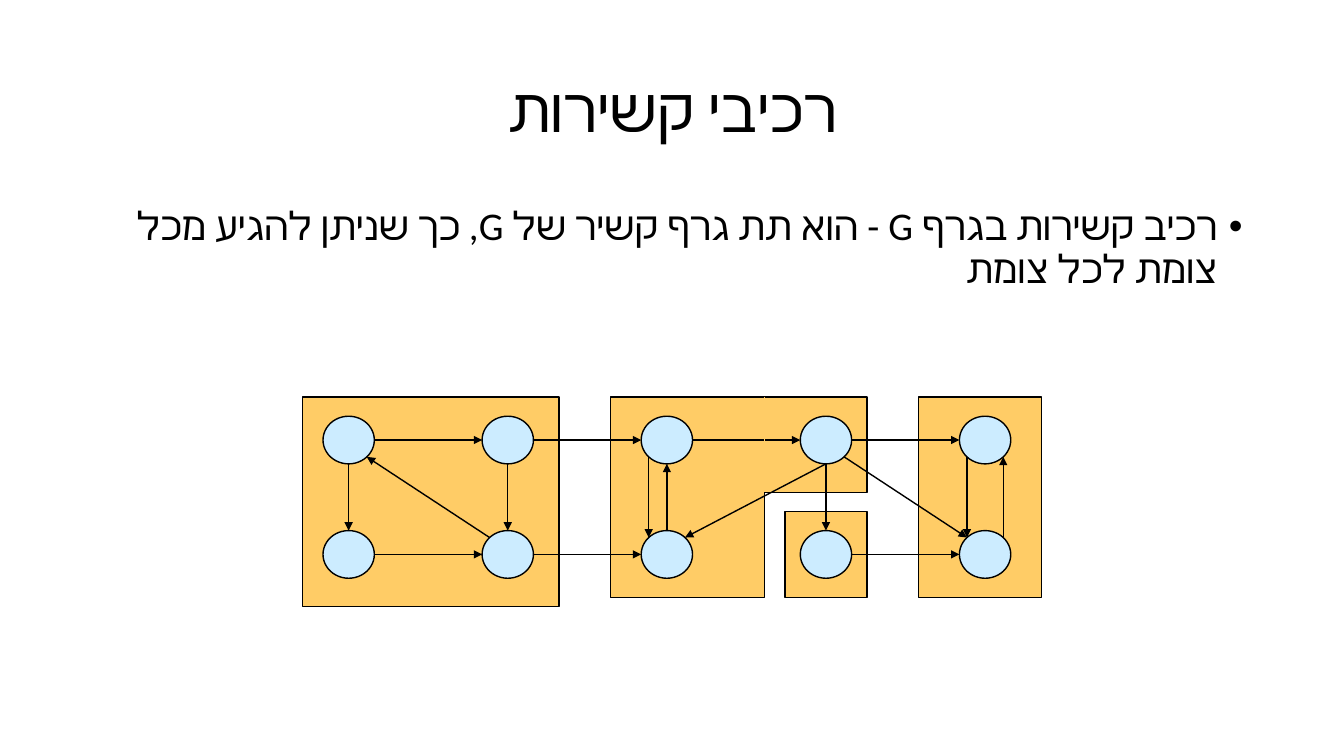
from dataclasses import dataclass
from math import sqrt

from lxml.etree import SubElement
from pptx import Presentation
from pptx.dml.color import RGBColor
from pptx.enum.shapes import MSO_CONNECTOR as Link, MSO_SHAPE as Form
from pptx.enum.text import MSO_ANCHOR as Anchor, MSO_AUTO_SIZE as Fit, PP_ALIGN as Align
from pptx.oxml.ns import qn
from pptx.util import Inches, Pt


@dataclass(frozen=True)
class Theme:
    font: str = "Calibri"
    title_size: int = 44
    body_size: int = 28
    line_width: int = 1
    ink: str = "000000"
    component: str = "FFCC66"
    vertex: str = "CCECFF"


WIDTH, HEIGHT = 13.33, 7.5
LEFT, TOP = 3, 3.94
COLUMN, ROW = 7.33 / 36, 2.08 / 22
VERTEX_WIDTH, VERTEX_HEIGHT = 2.5, 5
DIAGONAL = 1 / sqrt(2)
PORTS = {
    "N": (0, -1), "S": (0, 1), "W": (-1, 0), "E": (1, 0),
    "NW": (-DIAGONAL, -DIAGONAL), "NE": (DIAGONAL, -DIAGONAL),
    "SW": (-DIAGONAL, DIAGONAL), "SE": (DIAGONAL, DIAGONAL),
}
COMPONENTS = [
    (23.5, 12, 4, 9), (30, 0, 6, 21), (22.5, 0, 5, 10),
    (15, 0, 7.5, 21), (0, 0, 12.5, 22),
]
VERTICES = [(column, row) for column in range(5) for row in range(2)]
EDGES = [
    *[((column, 0), "E", (column + 1, 0), "W") for column in range(4)],
    *[((column, 1), "E", (column + 1, 1), "W") for column in (0, 1, 3)],
    *[((column, 0), "S", (column, 1), "N") for column in (0, 1, 3)],
    *[((column, 0), "SW", (column, 1), "NW") for column in (2, 4)],
    ((1, 1), "NW", (0, 0), "SE"),
    ((3, 0), "S", (2, 1), "NE"),
    ((2, 1), "N", (2, 0), "S"),
    ((4, 1), "NE", (4, 0), "SE"),
    ((3, 0), "SE", (4, 1), "NW"),
]


def vertex_corner(column, row):
    return 1 + 7.75 * column, 2 + 12 * row


def port_point(vertex, port):
    left, top = vertex_corner(*vertex)
    across, down = PORTS[port]
    return (left + VERTEX_WIDTH * (1 + across) / 2,
            top + VERTEX_HEIGHT * (1 + down) / 2)


class GraphPage:
    """Draws text and graph parts on one page in a shared theme."""

    def __init__(self, page, theme):
        self.page = page
        self.theme = theme

    def place(self, column, row):
        return Inches(LEFT + column * COLUMN), Inches(TOP + row * ROW)

    def text(self, box, words, size, area, align, anchor):
        left, top, width, height = area
        box.left, box.width = Inches(left * WIDTH), Inches(width * WIDTH)
        box.top, box.height = Inches(top * HEIGHT), Inches(height * HEIGHT)
        frame = box.text_frame
        frame.text = words
        frame.word_wrap = True
        frame.auto_size = Fit.NONE
        frame.vertical_anchor = anchor
        para = frame.paragraphs[0]
        para.alignment = align
        para.line_spacing = 0.9
        para.font.name = self.theme.font
        para.font.size = Pt(size)
        para.font.color.rgb = RGBColor.from_string(self.theme.ink)
        properties = para._p.get_or_add_pPr()
        SubElement(properties.find(qn("a:defRPr")), qn("a:cs"), typeface=self.theme.font)
        return para

    def title(self, words):
        self.text(self.page.shapes.title, words, self.theme.title_size,
                  (0.069, 0.053, 0.863, 0.193), Align.CENTER, Anchor.MIDDLE)

    def bullet(self, words):
        para = self.text(self.page.placeholders[1], words, self.theme.body_size,
                         (0.069, 0.267, 0.863, 0.635), Align.RIGHT, Anchor.TOP)
        para.space_before = Pt(10)
        properties = para._p.get_or_add_pPr()
        properties.set("rtl", "1")
        properties.set("marL", str(Inches(0.25)))
        properties.set("indent", str(-Inches(0.25)))

    def shape(self, form, column, row, columns, rows, color):
        shape = self.page.shapes.add_shape(
            form, *self.place(column, row), Inches(columns * COLUMN), Inches(rows * ROW))
        shape.shadow.inherit = False
        shape.fill.solid()
        shape.fill.fore_color.rgb = RGBColor.from_string(color)
        shape.line.color.rgb = RGBColor.from_string(self.theme.ink)
        shape.line.width = Pt(self.theme.line_width)

    def line(self, start, end, color):
        line = self.page.shapes.add_connector(
            Link.STRAIGHT, *self.place(*start), *self.place(*end))
        line.line.color.rgb = RGBColor.from_string(color)
        line.line.width = Pt(self.theme.line_width)
        SubElement(line._element.spPr, qn("a:effectLst"))
        return line

    def arrow(self, start, end):
        line = self.line(start, end, self.theme.ink)
        SubElement(line.line._get_or_add_ln(), qn("a:tailEnd"), type="triangle")


def main():
    deck = Presentation()
    deck.slide_width, deck.slide_height = Inches(WIDTH), Inches(HEIGHT)
    theme = Theme()
    graph = GraphPage(deck.slides.add_slide(deck.slide_layouts[1]), theme)
    graph.title("רכיבי קשירות")
    graph.bullet("רכיב קשירות בגרף G - הוא תת גרף קשיר של G, "
                 "כך שניתן להגיע מכל צומת לכל צומת")
    for area in COMPONENTS:
        graph.shape(Form.RECTANGLE, *area, theme.component)
    for vertex in VERTICES:
        graph.shape(Form.OVAL, *vertex_corner(*vertex),
                    VERTEX_WIDTH, VERTEX_HEIGHT, theme.vertex)
    for source, exit_port, target, entry_port in EDGES:
        graph.arrow(port_point(source, exit_port), port_point(target, entry_port))
    graph.line((22.5, 0), (22.5, 10), theme.component)
    deck.save("out.pptx")


if __name__ == "__main__":
    main()
